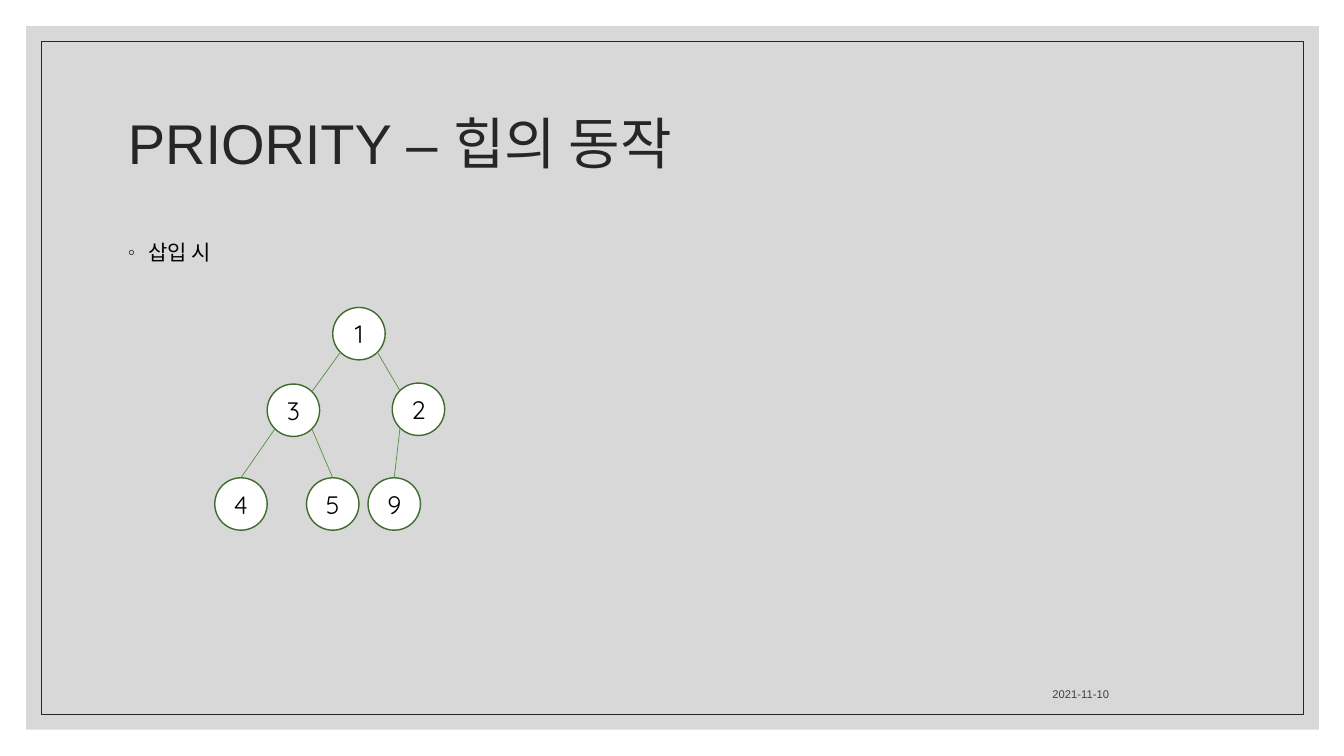
from lxml import etree
from pptx import Presentation
from pptx.dml.color import RGBColor
from pptx.enum.shapes import MSO_CONNECTOR, MSO_SHAPE
from pptx.enum.text import MSO_ANCHOR, PP_ALIGN
from pptx.oxml.ns import qn
from pptx.util import Inches, Pt

RECTANGLE, OVAL = MSO_SHAPE.RECTANGLE, MSO_SHAPE.OVAL
STRAIGHT = MSO_CONNECTOR.STRAIGHT
TOP, MIDDLE, BOTTOM = MSO_ANCHOR.TOP, MSO_ANCHOR.MIDDLE, MSO_ANCHOR.BOTTOM
LEFT, CENTER, RIGHT = PP_ALIGN.LEFT, PP_ALIGN.CENTER, PP_ALIGN.RIGHT

NODE_SIZE = 0.52
NODES = {
    "1": (1.17, 0),
    "3": (0.52, 0.76),
    "2": (1.76, 0.75),
    "4": (0, 1.69),
    "5": (0.91, 1.69),
    "9": (1.52, 1.69),
}
DIAGONAL = 0.35
ANCHORS = {
    "top": (0.5, 0),
    "top left": (0.5 - DIAGONAL, 0.5 - DIAGONAL),
    "top right": (0.5 + DIAGONAL, 0.5 - DIAGONAL),
    "bottom left": (0.5 - DIAGONAL, 0.5 + DIAGONAL),
    "bottom right": (0.5 + DIAGONAL, 0.5 + DIAGONAL),
}
EDGES = [
    ("1", "bottom left", "3", "top right"),
    ("1", "bottom right", "2", "top left"),
    ("3", "bottom left", "4", "top"),
    ("3", "bottom right", "5", "top"),
    ("2", "bottom left", "9", "top"),
]


def color(value):
    """Turn a hex string into a colour."""
    return RGBColor.from_string(value)


def write(shape, text, size, font, text_color, align, anchor):
    """Write one formatted paragraph into a shape and return it."""
    frame = shape.text_frame
    frame.word_wrap = True
    frame.vertical_anchor = anchor
    frame.text = text
    paragraph = frame.paragraphs[0]
    paragraph.alignment = align
    run_font = paragraph.runs[0].font
    run_font.size = Pt(size)
    run_font.name = font
    run_font.color.rgb = color(text_color)
    return paragraph


def add_text(slide, box, *style):
    """Add a text box and return its paragraph."""
    return write(slide.shapes.add_textbox(*map(Inches, box)), *style)


def add_panel(slide, kind, box, fill=None, line=None, width=1):
    """Add a preset shape with an optional fill and outline."""
    shape = slide.shapes.add_shape(kind, *map(Inches, box))
    shape.shadow.inherit = False
    if fill:
        shape.fill.solid()
        shape.fill.fore_color.rgb = color(fill)
    else:
        shape.fill.background()
    if line:
        shape.line.color.rgb = color(line)
        shape.line.width = Pt(width)
    else:
        shape.line.fill.background()
    return shape


def add_frame(slide, box):
    """Draw the translucent backdrop and the thin border inside it."""
    left, top, width, height = box
    backdrop = add_panel(slide, RECTANGLE, box, fill="BFBFBF")
    fill_color = backdrop.element.spPr.find(qn("a:solidFill"))[0]
    etree.SubElement(fill_color, qn("a:alpha"), val="60000")
    inset = 0.15
    border = (left + inset, top + inset, width - 2 * inset, height - 2 * inset)
    add_panel(slide, RECTANGLE, border, line="262626", width=0.5)


def add_title(slide, box):
    """Write the slide title."""
    paragraph = add_text(slide, box, "PRIORITY – 힙의 동작", 40, "Arial", "262626", LEFT, MIDDLE)
    paragraph.line_spacing = 0.9


def add_body(slide, box):
    """Write the bulleted line above the heap."""
    paragraph = add_text(slide, box, "삽입 시", 15, "Arial", "000000", LEFT, TOP)
    paragraph.line_spacing = 1.1
    paragraph.space_before = Pt(9)
    properties = paragraph._p.get_or_add_pPr()
    properties.set("marL", str(Inches(0.2)))
    properties.set("indent", str(Inches(-0.2)))
    bullet_color = etree.SubElement(properties, qn("a:buClr"))
    etree.SubElement(bullet_color, qn("a:srgbClr"), val="262626")
    etree.SubElement(properties, qn("a:buFont"), typeface="Arial")
    etree.SubElement(properties, qn("a:buChar"), char="◦")


def add_date(slide, box):
    """Write the date at the foot of the slide."""
    add_text(slide, box, "2021-11-10", 8, "Arial", "404040", RIGHT, BOTTOM)


def add_heap(slide, left, top):
    """Draw the heap's nodes and the edges joining them."""

    def point(label, anchor):
        """Locate an anchor on the rim of a node."""
        x, y = NODES[label]
        across, down = ANCHORS[anchor]
        return Inches(left + x + across * NODE_SIZE), Inches(top + y + down * NODE_SIZE)

    for label, (x, y) in NODES.items():
        box = (left + x, top + y, NODE_SIZE, NODE_SIZE)
        node = add_panel(slide, OVAL, box, fill="FFFFFF", line="406B2F")
        write(node, label, 18, "Quicksand", "000000", CENTER, MIDDLE)
    for parent, start, child, end in EDGES:
        edge = slide.shapes.add_connector(STRAIGHT, *point(parent, start), *point(child, end))
        edge.line.color.rgb = color("57903F")
        edge.line.width = Pt(0.5)
        etree.SubElement(edge.element.spPr, qn("a:effectLst"))


def main():
    """Build the slide and save it."""
    presentation = Presentation()
    presentation.slide_width = Inches(13.33)
    presentation.slide_height = Inches(7.5)
    slide = presentation.slides.add_slide(presentation.slide_layouts[6])
    add_frame(slide, (0.26, 0.26, 12.82, 6.98))
    add_title(slide, (1.17, 0.7, 11, 1.5))
    add_body(slide, (1.17, 2.3, 11, 4.21))
    add_date(slide, (7.94, 6.6, 3.16, 0.4))
    add_heap(slide, 2.13, 3.05)
    presentation.save("out.pptx")


if __name__ == "__main__":
    main()
